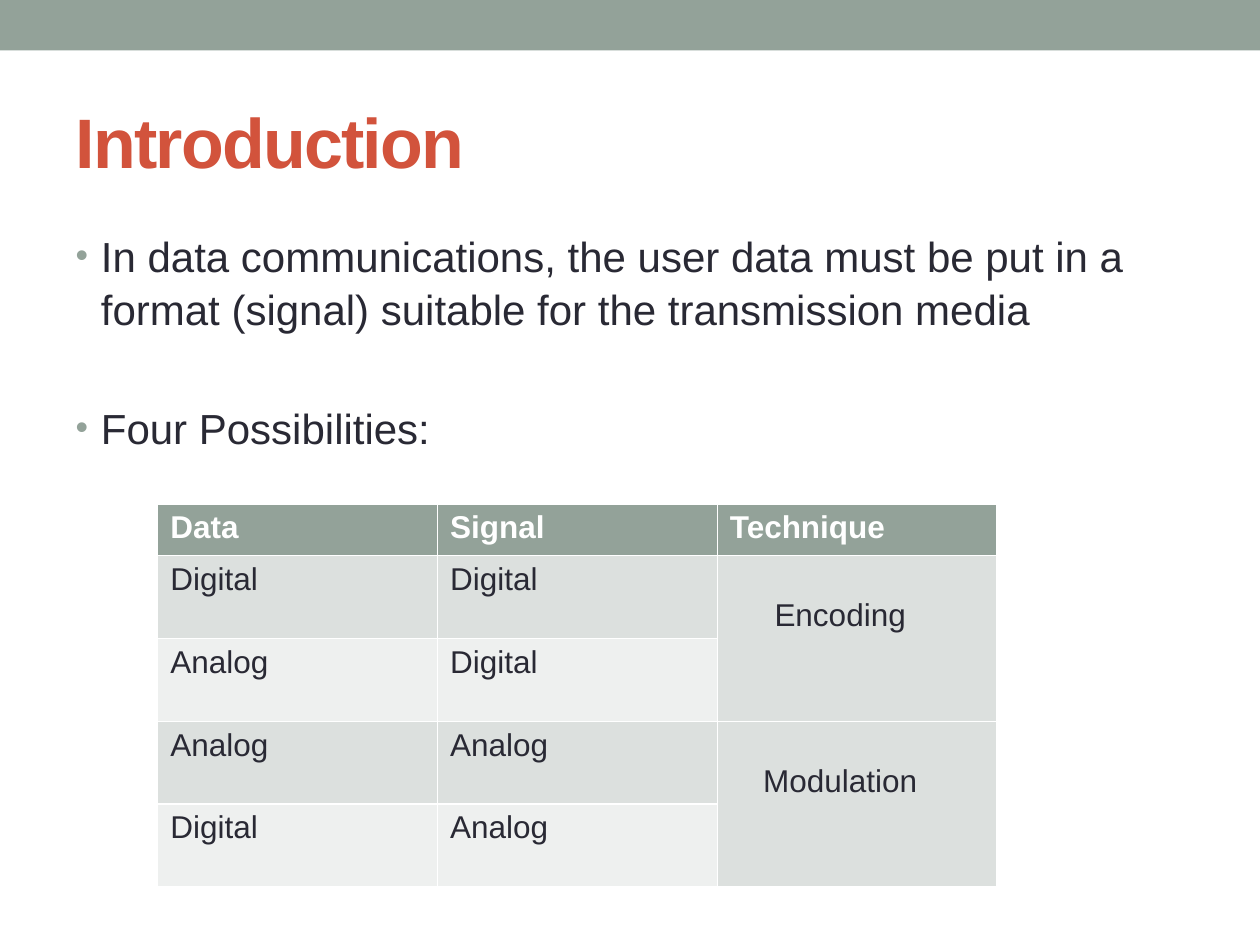
"""Build the introduction slide on data, signals and techniques."""
import pptx
import pptx.dml.color
import pptx.enum.shapes
import pptx.enum.text
import pptx.oxml.ns
import pptx.util
from lxml import etree
from pptx.util import Cm

COLOURS = {
    "sage": "93A299",
    "rust": "D2533C",
    "ink": "292934",
    "white": "FFFFFF",
    "dark_band": "DCE0DE",
    "light_band": "EEF0EF",
}
ROWS = [
    ("Data", "Signal", "Technique"),
    ("Digital", "Digital", "Encoding"),
    ("Analog", "Digital", ""),
    ("Analog", "Analog", "Modulation"),
    ("Digital", "Analog", ""),
]
BULLETS = [
    "In data communications, the user data must be put in a format (signal) "
    "suitable for the transmission media",
    "Four Possibilities:",
]


def colour(name):
    return pptx.dml.color.RGBColor.from_string(COLOURS[name])


def paint(shape, name):
    shape.fill.solid()
    shape.fill.fore_color.rgb = colour(name)


def style_text(para, size, name, bold=False):
    for span in para.runs:
        span.font.name = "Arial"
        span.font.size = pptx.util.Pt(size)
        span.font.bold = bold
        span.font.color.rgb = colour(name)


def place(box, left, top, width, height):
    box.left, box.top, box.width, box.height = map(Cm, (left, top, width, height))


def add_band(page, width):
    band = page.shapes.add_shape(
        pptx.enum.shapes.MSO_SHAPE.RECTANGLE, 0, 0, width, Cm(1.02))
    band.shadow.inherit = False
    paint(band, "sage")
    band.line.fill.background()


def fill_title(box, text):
    place(box, 1.27, 1.47, 22.86, 2.74)
    frame = box.text_frame
    frame.text = text
    frame.vertical_anchor = pptx.enum.text.MSO_ANCHOR.MIDDLE
    para = frame.paragraphs[0]
    para.alignment = pptx.enum.text.PP_ALIGN.LEFT
    style_text(para, 40, "rust", bold=True)
    para.runs[0].font._element.set("spc", "-100")


def add_bullet(para):
    properties = para._p.get_or_add_pPr()
    properties.set("marL", str(Cm(0.51)))
    properties.set("indent", str(Cm(-0.51)))
    tag = pptx.oxml.ns.qn
    tint = etree.SubElement(properties, tag("a:buClr"))
    etree.SubElement(tint, tag("a:srgbClr"), val=COLOURS["sage"])
    etree.SubElement(properties, tag("a:buSzPct"), val="85000")
    etree.SubElement(properties, tag("a:buFont"), typeface="Arial")
    etree.SubElement(properties, tag("a:buChar"), char="•")


def fill_body(box, bullets):
    place(box, 1.27, 4.45, 22.86, 13.54)
    frame = box.text_frame
    frame.text = "\n".join(bullets)
    frame.auto_size = pptx.enum.text.MSO_AUTO_SIZE.NONE
    for index, para in enumerate(frame.paragraphs):
        para.line_spacing = 1.06
        para.space_before = pptx.util.Pt(37.5 if index else 0)
        add_bullet(para)
        style_text(para, 24, "ink")


def fill_cell(cell, text, row, column):
    cell.text = text
    style_text(cell.text_frame.paragraphs[0], 18,
               "ink" if row else "white", bold=row == 0)
    if row == 0:
        paint(cell, "sage")
    else:
        paint(cell, "dark_band" if row % 2 or column == 2 else "light_band")


def merge_technique(table, row):
    cell = table.cell(row, 2)
    cell.merge(table.cell(row + 1, 2))
    cell.margin_top = Cm(0.86)
    cell.margin_right = Cm(0.94)
    cell.text_frame.paragraphs[0].alignment = pptx.enum.text.PP_ALIGN.CENTER


def add_technique_table(page, rows):
    table = page.shapes.add_table(
        len(rows), len(rows[0]), Cm(3.18), Cm(10.16), Cm(16.92), Cm(7.72)).table
    for column in table.columns:
        column.width = Cm(5.64)
    for row, texts in enumerate(rows):
        table.rows[row].height = Cm(1.67 if row else 1.04)
        for column, text in enumerate(texts):
            fill_cell(table.cell(row, column), text, row, column)
    for row in (1, 3):
        merge_technique(table, row)


def main():
    deck = pptx.Presentation()
    deck.slide_width, deck.slide_height = Cm(25.4), Cm(19.05)
    page = deck.slides.add_slide(deck.slide_layouts[1])
    add_band(page, deck.slide_width)
    fill_title(page.shapes.title, "Introduction")
    fill_body(page.placeholders[1], BULLETS)
    add_technique_table(page, ROWS)
    deck.save("out.pptx")


if __name__ == "__main__":
    main()
